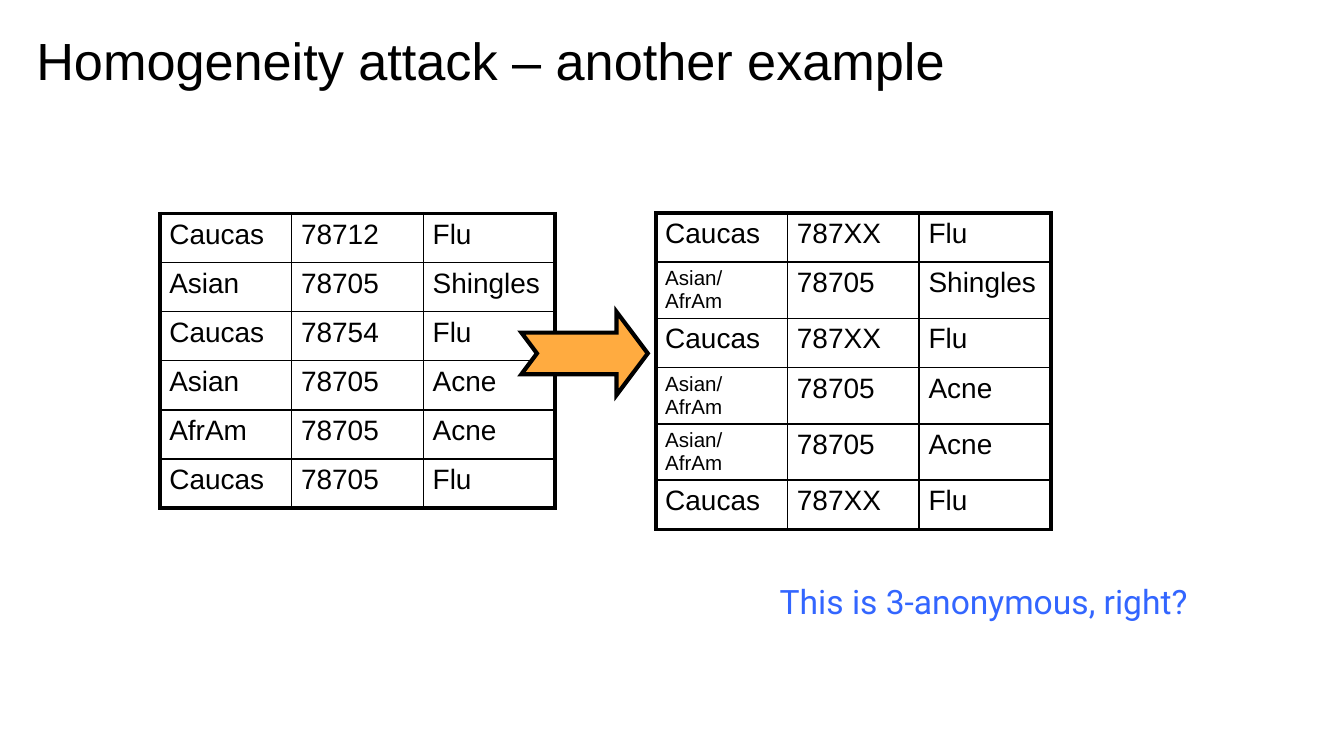
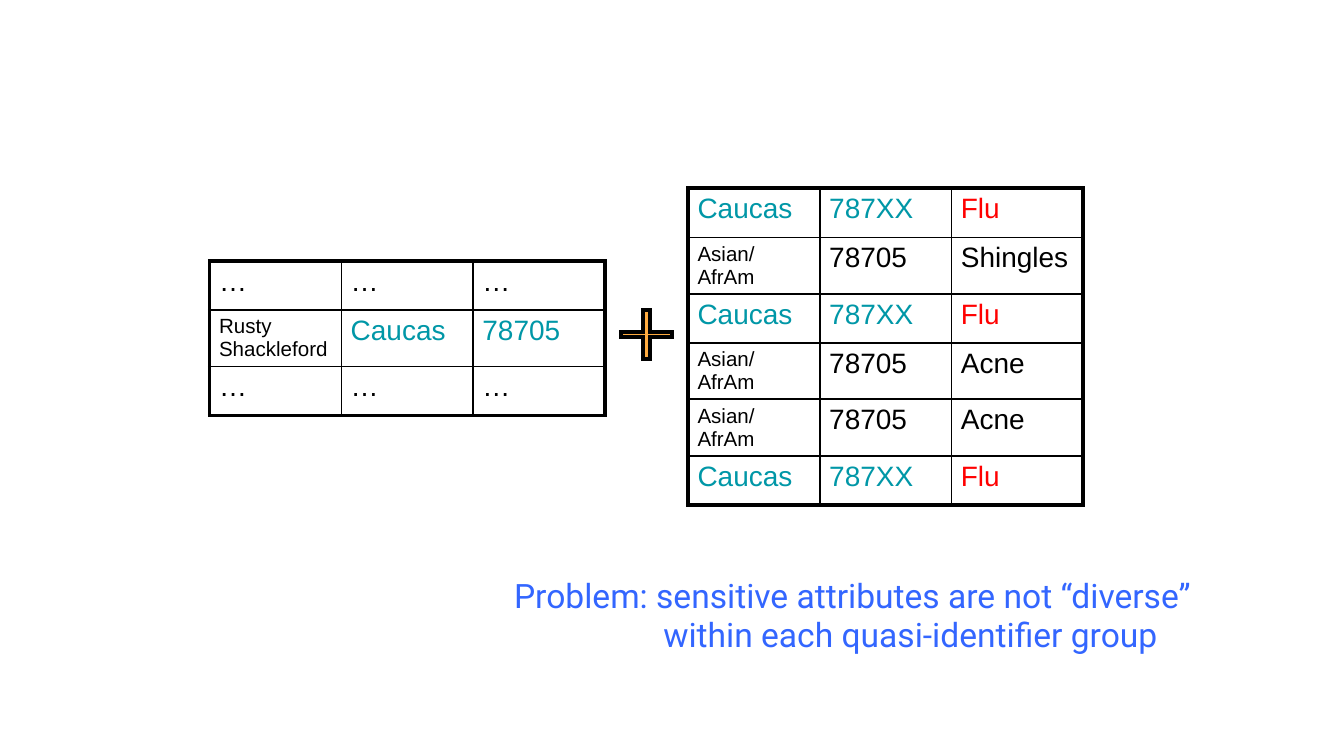
from dataclasses import dataclass

from lxml import etree
from pptx import Presentation, util as u
from pptx.dml.color import RGBColor
from pptx.enum import shapes, text
from pptx.oxml.ns import qn


@dataclass(frozen=True)
class Theme:
    ink: str = "000000"
    accent: str = "FFAB40"
    note: str = "3366FF"
    quasi: str = "0097A7"
    sensitive: str = "FF0000"
    font: str = "Arial"
    note_font: str = "Roboto"
    title_size: int = 28
    note_size: int = 18
    cell_size: int = 15
    small_size: int = 11
    thick: float = 2.25
    thin: float = 1


T = Theme()
prs = Presentation()
prs.slide_width = u.Inches(10)
prs.slide_height = prs.slide_width * 9 // 16
COL, ROW, TALL = u.Inches(0.98), u.Inches(2.19 / 6), u.Inches(0.42)
LONGEST = 8  # longer cell text is set small


def box(x, y, w=0, h=0):
    """Turn percentages of the slide into left, top, width, height."""
    return [int(side * share / 100) for side, share in
            zip((prs.slide_width, prs.slide_height) * 2, (x, y, w, h))]


def add_records(s, x, y, rows, colours, heights):
    """Add a ruled table with a heavy frame; colours maps cell text to colour."""
    n, m = len(rows), len(rows[0])
    left, top = box(x, y)[:2]
    table = s.shapes.add_table(n, m, left, top, COL * m, ROW * n).table
    table.first_row = table.horz_banding = False
    for column in table.columns:
        column.width = COL
    for i, row in enumerate(rows):
        table.rows[i].height = heights.get(i, ROW)
        for j, value in enumerate(row):
            cell = table.cell(i, j)
            cell.margin_left = cell.margin_right = u.Inches(0.07)
            cell.margin_top = cell.margin_bottom = u.Inches(0.04)
            r = cell.text_frame.paragraphs[0].add_run()
            r.text = value
            r.font.name = T.font
            r.font.size = u.Pt(T.small_size if len(value) > LONGEST else T.cell_size)
            r.font.color.rgb = RGBColor.from_string(colours.get(value, T.ink))
            # Borders: thick on the frame, thin inside
            pr = cell._tc.get_or_add_tcPr()
            frame = {"a:lnL": j == 0, "a:lnR": j == m - 1,
                     "a:lnT": i == 0, "a:lnB": i == n - 1}
            for tag, outer in frame.items():
                ln = etree.SubElement(pr, qn(tag), w=str(u.Pt(T.thick if outer else T.thin)))
                fill = etree.SubElement(ln, qn("a:solidFill"))
                etree.SubElement(fill, qn("a:srgbClr"), val=T.ink)
            cell.fill.background()


# Records shared by the slides
raw = [("Caucas", "78712", "Flu"), ("Asian", "78705", "Shingles"),
       ("Caucas", "78754", "Flu"), ("Asian", "78705", "Acne"),
       ("AfrAm", "78705", "Acne"), ("Caucas", "78705", "Flu")]
anonymous = [("Caucas", "787XX", ill) if race == "Caucas" else ("Asian/AfrAm", code, ill)
             for race, code, ill in raw]
dots = ("…",) * 3
known = [dots, ("Rusty Shackleford", "Caucas", "78705"), dots]
quasi = dict.fromkeys(("Caucas", "787XX", ), T.quasi)

# Each slide: title, tables (x, y, rows, colours, row heights), symbol, note
pages = [
    dict(title="Homogeneity attack – another example",
         tables=[(11.9, 28.25, raw, {}, {}), (48.8, 28.15, anonymous, {}, {})],
         symbol=(shapes.MSO_SHAPE.NOTCHED_RIGHT_ARROW, (38.8, 41.25, 9.4, 11), (0.5, 0.375)),
         note=((56.8, 76, 32.8, 7.1), ["This is 3-anonymous, right?"])),
    dict(title=None,
         tables=[(15.6, 34.5, known, {"Caucas": T.quasi, "78705": T.quasi}, {1: TALL}),
                 (51.2, 24.9, anonymous, {**quasi, "Flu": T.sensitive}, {})],
         symbol=(shapes.MSO_SHAPE.CROSS, (46.2, 41.05, 3.8, 6.4), (0.454,)),
         note=((36.8, 75.2, 53.3, 12.6),
               ["Problem: sensitive attributes are not “diverse”",
                "within each quasi-identifier group"])),
]

for page in pages:
    s = prs.slides.add_slide(prs.slide_layouts[5])

    # Title
    title = s.shapes.title
    if page["title"]:
        title.left, title.top, title.width, title.height = box(1.7, 1.95, 93.2, 10.1)
        tf = title.text_frame
        settings = dict(margin_left=u.Inches(0.1), margin_right=u.Inches(0.1),
                        margin_top=u.Inches(0.1), margin_bottom=0, word_wrap=True,
                        auto_size=text.MSO_AUTO_SIZE.NONE,
                        vertical_anchor=text.MSO_ANCHOR.TOP)
        for name, value in settings.items():
            setattr(tf, name, value)
        p = tf.paragraphs[0]
        p.alignment = text.PP_ALIGN.LEFT
        r = p.add_run()
        r.text = page["title"]
        r.font.name, r.font.size = T.font, u.Pt(T.title_size)
        r.font.color.rgb = RGBColor.from_string(T.ink)
    else:
        title.element.getparent().remove(title.element)

    # Tables
    for table in page["tables"]:
        add_records(s, *table)

    # Symbol between the tables, with sharp corners
    kind, place, adjustments = page["symbol"]
    sp = s.shapes.add_shape(kind, *box(*place))
    for i, value in enumerate(adjustments):
        sp.adjustments[i] = value
    sp.shadow.inherit = False
    sp.fill.solid()
    sp.fill.fore_color.rgb = RGBColor.from_string(T.accent)
    sp.line.color.rgb = RGBColor.from_string(T.ink)
    sp.line.width = u.Pt(T.thick)
    etree.SubElement(sp.element.spPr.find(qn("a:ln")), qn("a:miter"), lim="800000")

    # Note; its second line is indented
    place, lines = page["note"]
    tf = s.shapes.add_textbox(*box(*place)).text_frame
    tf.word_wrap = True
    for i, line in enumerate(lines):
        p = tf.paragraphs[0] if i == 0 else tf.add_paragraph()
        p.alignment = text.PP_ALIGN.CENTER
        if i:
            p.line_spacing, p.space_before = 0.8, u.Pt(0.2 * T.note_size)
            p._p.get_or_add_pPr().set("marL", str(u.Inches(0.86)))
        r = p.add_run()
        r.text = line
        r.font.name, r.font.size = T.note_font, u.Pt(T.note_size)
        r.font.color.rgb = RGBColor.from_string(T.note)

prs.save("out.pptx")
